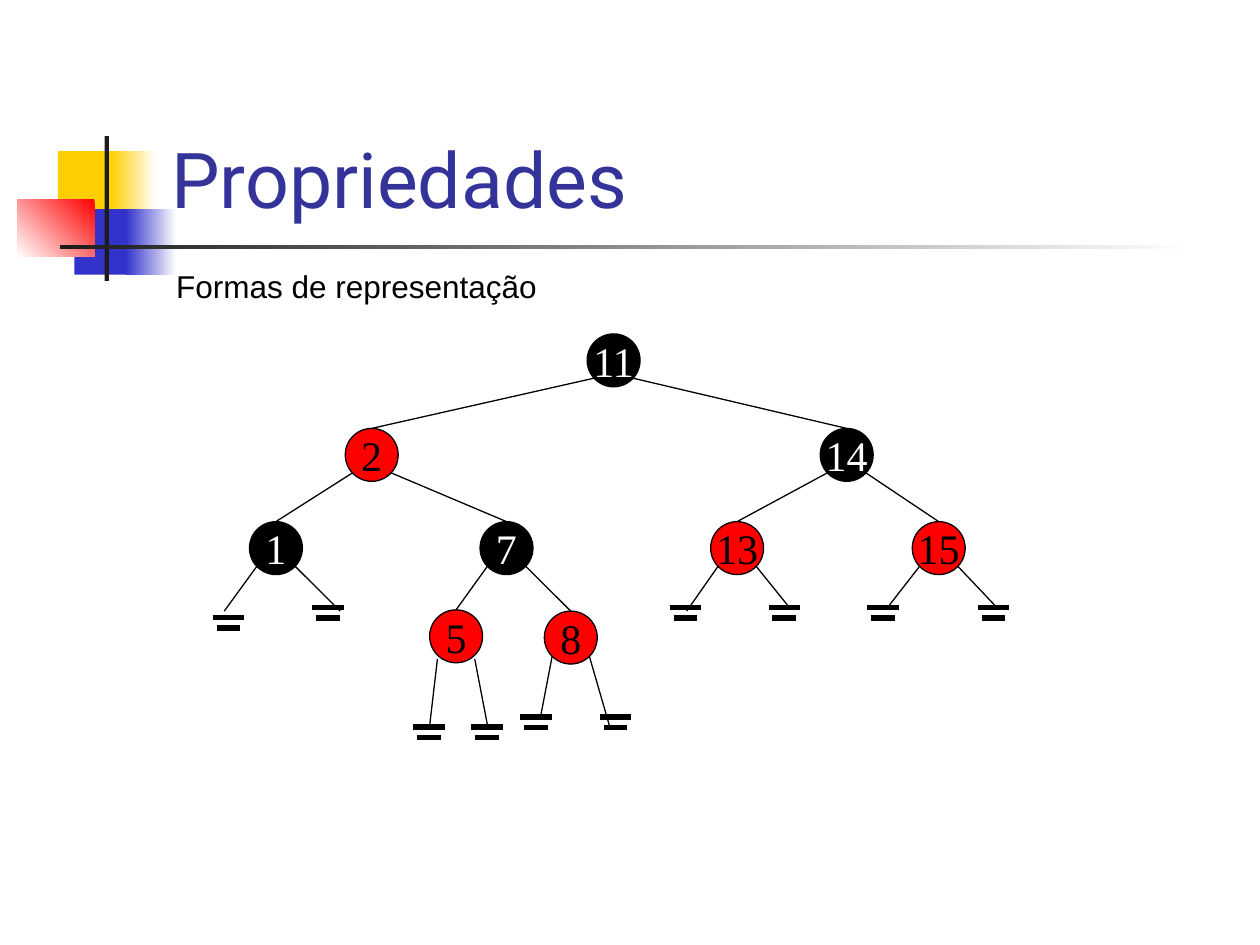
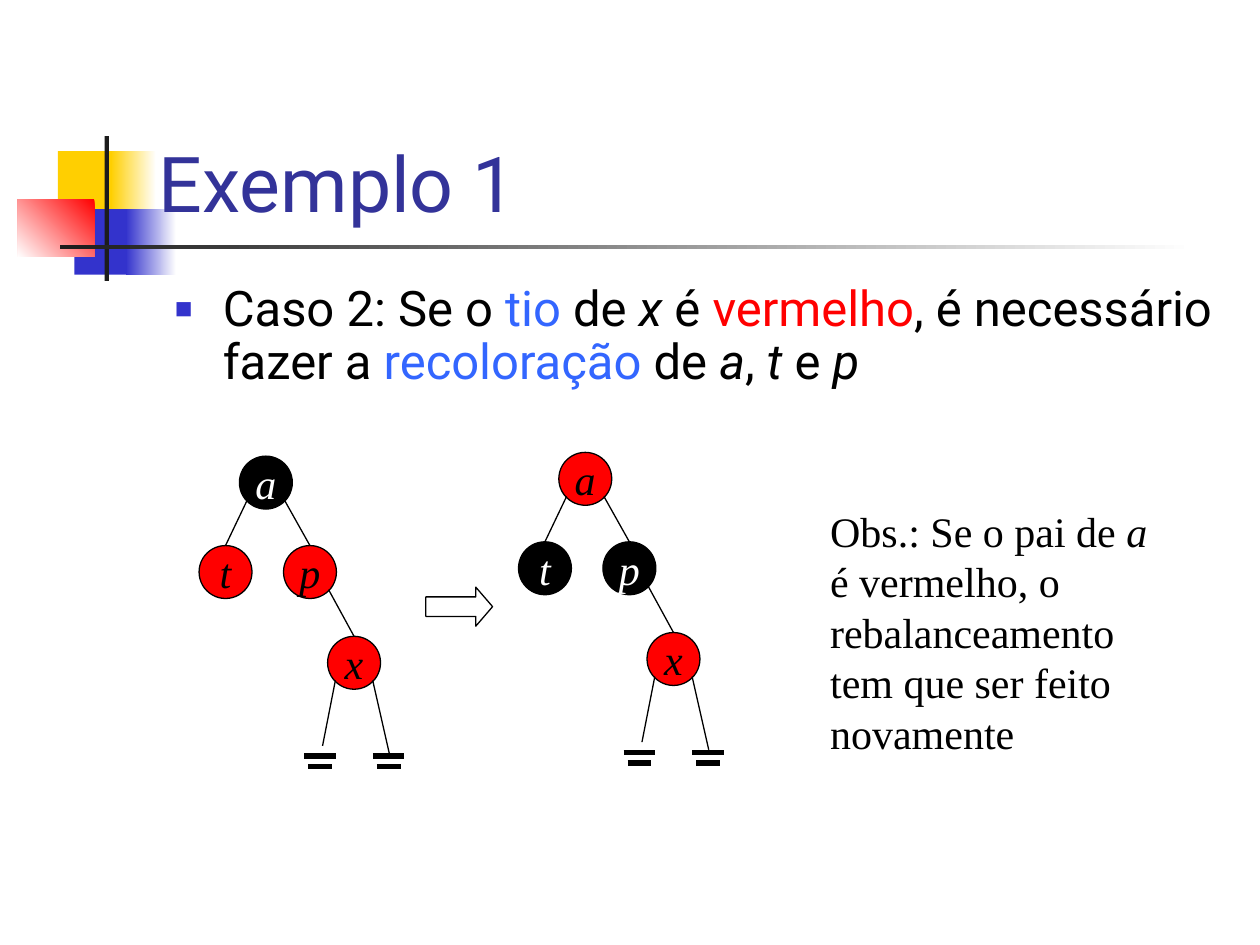
from dataclasses import dataclass
from typing import NamedTuple, Optional, Union

from lxml.etree import SubElement as Sub
from pptx import Presentation
from pptx.dml.color import RGBColor as Rgb
from pptx.enum.shapes import MSO_CONNECTOR as Link, MSO_SHAPE as Form
from pptx.enum.text import MSO_ANCHOR as Anchor, PP_ALIGN as Align
from pptx.oxml.ns import qn
from pptx.util import Emu, Inches, Pt

# Grid: 100 columns by 75 rows on a 10 by 7.5 inch slide
WIDE, HIGH = Inches(10), Inches(7.5)
COLS, ROWS = 100, 75


def cx(cols: float) -> Emu:
    return Emu(round(cols * WIDE / COLS))


def ry(rows: float) -> Emu:
    return Emu(round(rows * HIGH / ROWS))


@dataclass(frozen=True)
class Theme:
    black: str = "000000"
    white: str = "FFFFFF"
    red: str = "FF0000"
    gold: str = "FFCF01"
    blue: str = "3333CC"
    dark: str = "1C1C1C"
    title: str = "333399"
    key: str = "3366FF"
    head: str = "Roboto"
    sans: str = "Arial"
    serif: str = "Times New Roman"
    big: float = 44
    body: float = 28
    node: float = 24
    note: float = 18
    thin: float = 0.75
    thick: float = 3


T = Theme()


class Box(NamedTuple):
    col: float
    row: float
    cols: float
    rows: float


class Block(NamedTuple):
    box: Box
    start: str
    end: Optional[str] = None
    turn: float = 180


class Bit(NamedTuple):
    text: str
    color: str = T.black
    slant: bool = False


@dataclass(frozen=True)
class Leaf:
    col: float
    row: float
    tip: tuple[float, float]


@dataclass(frozen=True)
class Node:
    text: str
    col: float
    row: float
    fill: str
    left: Optional[Union["Node", Leaf]] = None
    right: Optional[Union["Node", Leaf]] = None
    dip: float = 1.4  # rows from the centre down to where branches start


SIZE = 4.2   # node width
REACH = 1.48  # columns from a node's centre to where a branch starts

# Coloured blocks and rules beside every title
BAND = (
    Block(Box(4.6, 12, 4.8, 5.2), T.gold),
    Block(Box(8.8, 12, 3.6, 5.2), T.white, T.gold),
    Block(Box(5.9, 16.6, 4.6, 5.2), T.blue),
    Block(Box(10, 16.6, 4, 5.2), T.white, T.blue),
    Block(Box(1.4, 15.8, 6.1, 4.6), T.red, T.white, 225),
    Block(Box(8.3, 10.8, 0.35, 11.5), T.dark),
    Block(Box(4.8, 19.45, 90, 0.35), T.white, T.dark),
)


def put(goal, form: dict) -> None:
    for name, value in form.items():
        setattr(goal, name, value)


def place(box: Box) -> tuple[Emu, Emu, Emu, Emu]:
    return cx(box.col), ry(box.row), cx(box.cols), ry(box.rows)


# Shapes and lines
def shape(slide, kind, box: Box, fill: str, line: bool = False):
    item = slide.shapes.add_shape(kind, *place(box))
    item.shadow.inherit = False
    item.fill.solid()
    item.fill.fore_color.rgb = Rgb.from_string(fill)
    if line:
        item.line.color.rgb = Rgb.from_string(T.black)
        item.line.width = Pt(T.thin)
    else:
        item.line.fill.background()
    return item


def block(slide, part: Block) -> None:
    item = shape(slide, Form.RECTANGLE, part.box, part.start)
    if part.end:
        item.fill.gradient()
        item.fill.gradient_angle = part.turn
        for stop, tint in zip(item.fill.gradient_stops, (part.start, part.end)):
            stop.color.rgb = Rgb.from_string(tint)


def line(slide, start: tuple[float, float], end: tuple[float, float],
         width: float = T.thin) -> None:
    item = slide.shapes.add_connector(
        Link.STRAIGHT, cx(start[0]), ry(start[1]), cx(end[0]), ry(end[1]))
    item.line.color.rgb = Rgb.from_string(T.black)
    item.line.width = Pt(width)
    Sub(item._element.spPr, qn("a:effectLst"))


# Text
def write(para, bits: list[Bit], font: str, size: float) -> None:
    for bit in bits:
        for i, text in enumerate(bit.text.split("\n")):
            if i:
                para.add_line_break()
            if text:
                run = para.add_run()
                run.text = text
                put(run.font, dict(name=font, size=Pt(size), italic=bit.slant))
                run.font.color.rgb = Rgb.from_string(bit.color)


def label(slide, box: Box, bits: list[Bit], font: str, size: float,
          form: Optional[dict] = None, **frame):
    area = slide.shapes.add_textbox(*place(box)).text_frame
    put(area, dict(word_wrap=True) | frame)
    para = area.paragraphs[0]
    put(para, form or {})
    write(para, bits, font, size)
    return para


def bullet(para) -> None:
    props = para._p.get_or_add_pPr()
    put_in = dict(marL=Inches(0.38), indent=-Inches(0.38))
    for name, value in put_in.items():
        props.set(name, str(value))
    tint = Sub(props, qn("a:buClr"))
    Sub(tint, qn("a:srgbClr"), val=T.blue)
    Sub(props, qn("a:buSzPct"), val="60000")
    Sub(props, qn("a:buFont"), typeface=T.sans)
    Sub(props, qn("a:buChar"), char="■")


# Trees
def leaf(slide, item: Leaf) -> None:
    for half, drop in ((1.25, 0), (0.94, 0.85)):
        row = item.row + drop
        line(slide, (item.col - half, row), (item.col + half, row), T.thick)


def tree(slide, node: Node, slant: bool = False) -> None:
    box = Box(node.col - SIZE / 2, node.row - SIZE / 2, SIZE, SIZE)
    area = shape(slide, Form.OVAL, box, node.fill, True).text_frame
    put(area, dict(word_wrap=False, vertical_anchor=Anchor.MIDDLE))
    area.paragraphs[0].alignment = Align.CENTER
    ink = T.white if node.fill == T.black else T.black
    write(area.paragraphs[0], [Bit(node.text, ink, slant)], T.serif, T.node)
    for side, child in ((-1, node.left), (1, node.right)):
        if child is None:
            continue
        start = (node.col + side * REACH, node.row + node.dip)
        if isinstance(child, Leaf):
            line(slide, start, child.tip)
            leaf(slide, child)
        else:
            line(slide, start, (child.col, child.row - SIZE / 2))
            tree(slide, child, slant)


def case(col: float, row: float, top: str, kids: str) -> Node:
    """Tree with a at (col, row); t and p share one colour."""
    x = Node("x", col + 7, row + 14.3, T.red,
             Leaf(col + 4.3, row + 21.7, (col + 4.5, row + 20.9)),
             Leaf(col + 9.75, row + 21.7, (col + 9.8, row + 21.5)))
    return Node("a", col, row, top,
                Node("t", col - 3.2, row + 7.1, kids),
                Node("p", col + 3.5, row + 7.1, kids, right=x))


# Slides
def page(deck, title: str, col: float, base: float):
    slide = deck.slides.add_slide(deck.slide_layouts[6])
    for part in BAND:
        block(slide, part)
    label(slide, Box(col, base - 10, 82, 10), [Bit(title, T.title)],
          T.head, T.big, vertical_anchor=Anchor.BOTTOM,
          margin_left=0, margin_bottom=0)
    return slide


def forms(deck) -> None:
    slide = page(deck, "Propriedades", 13.6, 17.8)
    label(slide, Box(13, 21, 35, 3.8), [Bit("Formas de representação")],
          T.sans, T.note, dict(line_spacing=0.93))
    one = Node("1", 21.9, 43.5, T.black,
               Leaf(18.15, 49, (17.8, 48.5)), Leaf(26.05, 48.2, (27, 48.5)))
    five = Node("5", 36.2, 50.5, T.red,
                Leaf(34.05, 57.7, (34.1, 57.6)),
                Leaf(38.65, 57.7, (38.7, 57.6)), 1.8)
    eight = Node("8", 45.3, 50.6, T.red,
                 Leaf(42.55, 56.9, (42.9, 56.9)),
                 Leaf(48.85, 56.9, (48.4, 57.7)), 1.5)
    seven = Node("7", 40.2, 43.5, T.black, five, eight)
    low = Node("13", 58.5, 43.5, T.red,
               Leaf(54.4, 48.2, (54.5, 48.5)), Leaf(62.25, 48.2, (62.8, 48.4)))
    high = Node("15", 74.5, 43.5, T.red,
                Leaf(70.1, 48.2, (70.3, 48.4)), Leaf(78.85, 48.2, (79.2, 48.3)))
    two = Node("2", 29.5, 36.1, T.red, one, seven)
    right = Node("14", 67.2, 36.1, T.black, low, high)
    tree(slide, Node("11", 48.7, 28.6, T.black, two, right))


def sample(deck) -> None:
    slide = page(deck, "Exemplo 1", 12.6, 18.1)
    rule = [
        Bit("Caso 2: Se o "), Bit("tio", T.key), Bit(" de "),
        Bit("x", slant=True), Bit(" é "), Bit("vermelho", T.red),
        Bit(", é necessário fazer a "), Bit("recoloração", T.key),
        Bit(" de "), Bit("a", slant=True), Bit(", "), Bit("t", slant=True),
        Bit(" e "), Bit("p", slant=True),
    ]
    bullet(label(slide, Box(12.9, 22.1, 85, 9.6), rule, T.head, T.body,
                 dict(line_spacing=0.9, space_before=Pt(7))))
    # Before and after recolouring
    tree(slide, case(21.1, 38.3, T.black, T.red), True)
    tree(slide, case(46.45, 38, T.red, T.black), True)
    arrow = shape(slide, Form.RIGHT_ARROW, Box(33.8, 46.6, 5.3, 3.1),
                  T.white, True)
    arrow.adjustments[1] = 0.43
    note = [
        Bit("Obs.: Se o pai de "), Bit("a\n", slant=True),
        Bit("é vermelho, o\nrebalanceamento\ntem que ser feito\nnovamente"),
    ]
    label(slide, Box(64.9, 39.6, 30, 21), note, T.serif, T.node,
          dict(line_spacing=Pt(28.85)))


def main() -> None:
    deck = Presentation()
    put(deck, dict(slide_width=WIDE, slide_height=HIGH))
    forms(deck)
    sample(deck)
    deck.save("out.pptx")


if __name__ == "__main__":
    main()
